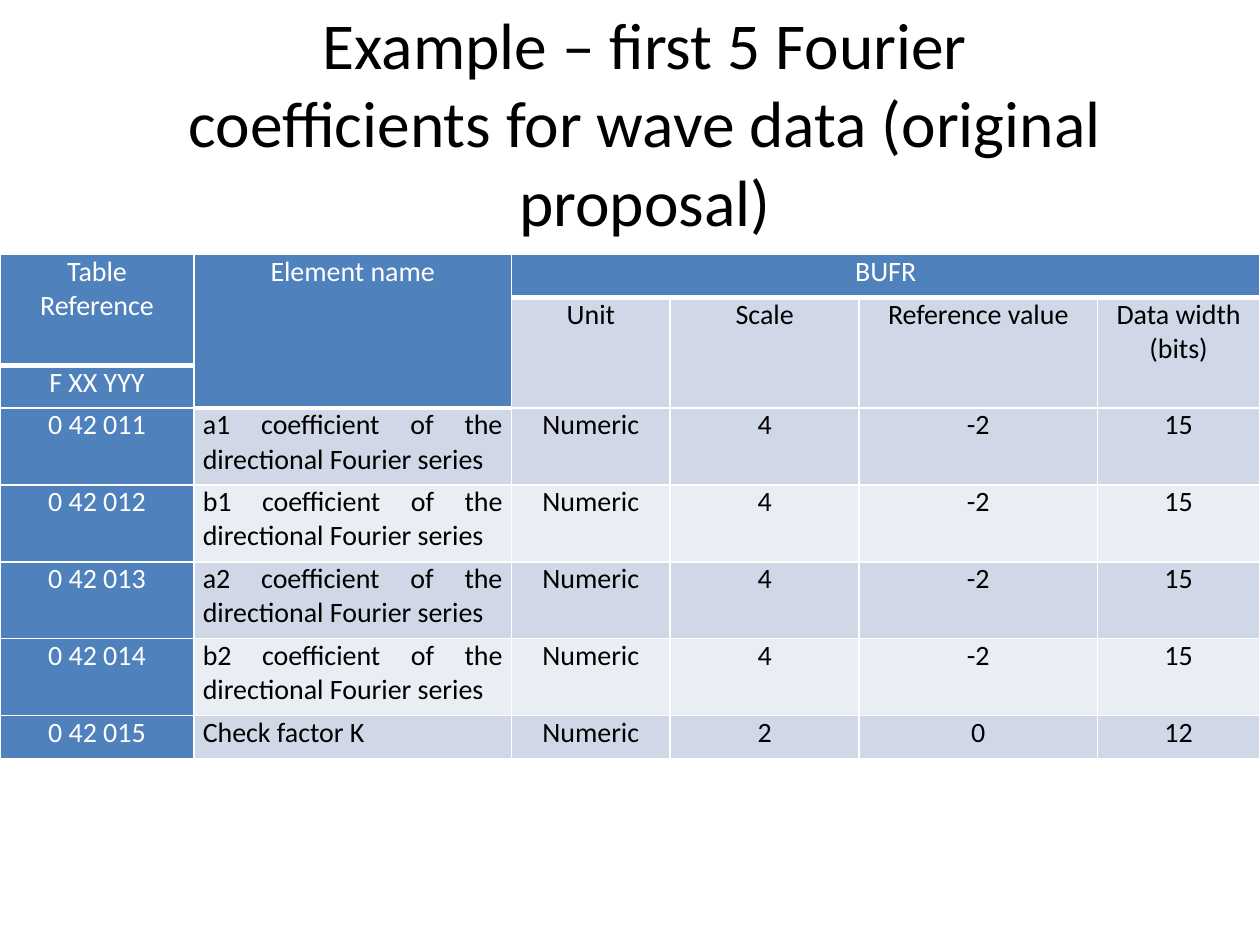
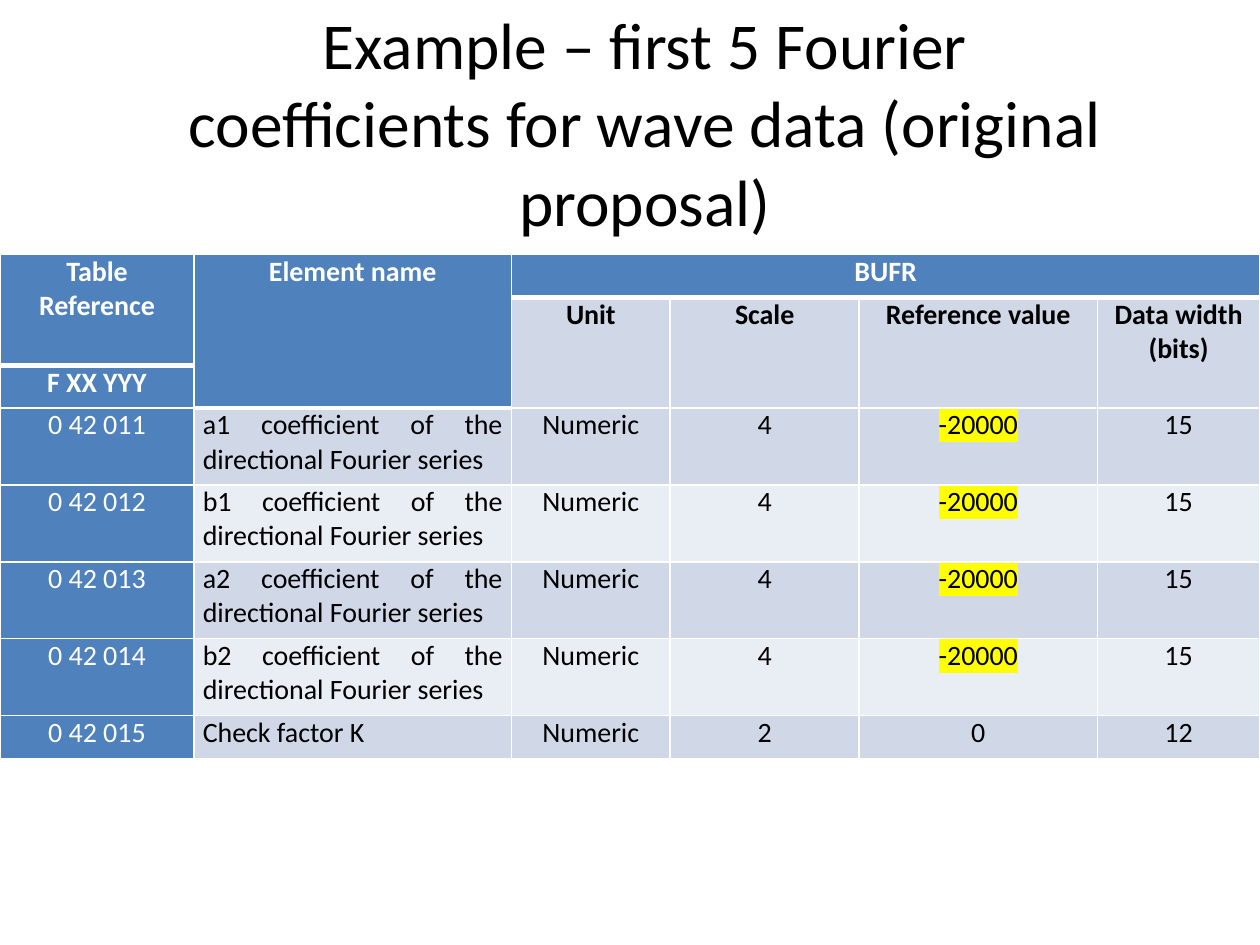
from lxml import etree
from pptx import Presentation
from pptx.dml.color import RGBColor
from pptx.enum.text import MSO_ANCHOR, PP_ALIGN
from pptx.oxml.ns import qn
from pptx.util import Inches, Pt

WHITE = RGBColor(0xFF, 0xFF, 0xFF)
BLACK = RGBColor(0, 0, 0)
BLUE = RGBColor(0x4F, 0x81, 0xBD)
BAND_DARK = RGBColor(0xD0, 0xD8, 0xE8)
BAND_LIGHT = RGBColor(0xE9, 0xED, 0xF4)
YELLOW = RGBColor(0xFF, 0xFF, 0x00)
FONT = "Calibri"

TITLE = "Example – first 5 Fourier coefficients for wave data (original proposal)"
TITLE_BOX = (1.22, 0.32, 7.8, 1.29)
TABLE_AT = (0, 2.02)
COL_WIDTHS = (1.54, 2.52, 1.26, 1.5, 1.89, 1.29)
ROW_HEIGHTS = (0.34, 0.54, 0.34, 0.61, 0.61, 0.61, 0.61, 0.34)
HEADER_ROWS = 3
REF_VALUE_COL = 4

# (first row, first column, last row, last column)
MERGES = ((0, 0, 1, 0), (0, 1, 2, 1), (0, 2, 0, 5),
          *((1, col, 2, col) for col in range(2, 6)))
HEADINGS = {(0, 0): "Table Reference", (0, 1): "Element name", (0, 2): "BUFR",
            (1, 2): "Unit", (1, 3): "Scale", (1, 4): "Reference value",
            (1, 5): "Data width (bits)", (2, 0): "F XX YYY"}


def element_rows(reference_value):
    rows = [(f"0 42 01{i}", f"{name} coefficient of the directional Fourier series",
             "Numeric", "4", reference_value, "15")
            for i, name in enumerate(("a1", "b1", "a2", "b2"), 1)]
    return rows + [("0 42 015", "Check factor K", "Numeric", "2", "0", "12")]


def write(p, text, align=PP_ALIGN.CENTER, color=BLACK, **font):
    p.alignment = align
    r = p.add_run()
    r.text = text
    r.font.color.rgb = color
    for name, value in {"name": FONT, **font}.items():
        setattr(r.font, name, value)
    return r


def highlight(r, color):
    mark = etree.Element(qn("a:highlight"))
    etree.SubElement(mark, qn("a:srgbClr")).set("val", str(color))
    r.font._element.find(qn("a:solidFill")).addnext(mark)


def set_borders(cell, bottom):
    """White lines on all sides; they must precede the cell fill."""
    tcPr = cell._tc.get_or_add_tcPr()
    for side, width in (("L", 1), ("R", 1), ("T", 1), ("B", bottom)):
        ln = etree.SubElement(tcPr, qn(f"a:ln{side}"), w=str(Pt(width)))
        fill = etree.SubElement(ln, qn("a:solidFill"))
        etree.SubElement(fill, qn("a:srgbClr")).set("val", str(WHITE))


def format_cell(cell, fill, bottom):
    set_borders(cell, bottom)
    cell.fill.solid()
    cell.fill.fore_color.rgb = fill
    for name, value in {"margin_left": Inches(0.07), "margin_right": Inches(0.07),
                        "margin_top": 0, "margin_bottom": 0,
                        "vertical_anchor": MSO_ANCHOR.TOP}.items():
        setattr(cell, name, value)


def add_title(s, box):
    tf = s.shapes.add_textbox(*map(Inches, box)).text_frame
    tf.word_wrap = True
    tf.vertical_anchor = MSO_ANCHOR.MIDDLE
    write(tf.paragraphs[0], TITLE, size=Pt(37.4))


def add_coefficient_table(s, at, reference_value, bold_headings, marked):
    size = sum(COL_WIDTHS), sum(ROW_HEIGHTS)
    table = s.shapes.add_table(len(ROW_HEIGHTS), len(COL_WIDTHS),
                               *map(Inches, at + size)).table
    for column, width in zip(table.columns, COL_WIDTHS):
        column.width = Inches(width)
    for row, height in zip(table.rows, ROW_HEIGHTS):
        row.height = Inches(height)
    for top, left, bottom, right in MERGES:
        table.cell(top, left).merge(table.cell(bottom, right))

    texts = dict(HEADINGS)
    for i, values in enumerate(element_rows(reference_value), HEADER_ROWS):
        texts.update({(i, j): value for j, value in enumerate(values)})

    for i in range(len(ROW_HEIGHTS)):
        for j in range(len(COL_WIDTHS)):
            cell = table.cell(i, j)
            heading = i < HEADER_ROWS
            blue = i == 0 or j == 0 or (heading and j == 1)
            band = BAND_DARK if heading or i % 2 else BAND_LIGHT
            format_cell(cell, BLUE if blue else band, bottom=1 if i else 3)
            p = cell.text_frame.paragraphs[0]
            p.font.size = Pt(16)
            if (i, j) not in texts:
                continue
            justify = j == 1 and not heading
            r = write(p, texts[i, j],
                      PP_ALIGN.JUSTIFY if justify else PP_ALIGN.CENTER,
                      WHITE if blue else BLACK,
                      size=Pt(16), bold=heading and bold_headings)
            if marked and j == REF_VALUE_COL and texts[i, j] == reference_value:
                highlight(r, YELLOW)


def main():
    prs = Presentation()
    prs.slide_width, prs.slide_height = Inches(10), Inches(7.5)
    for reference_value, revised in (("-2", False), ("-20000", True)):
        s = prs.slides.add_slide(prs.slide_layouts[6])
        add_title(s, TITLE_BOX)
        add_coefficient_table(s, TABLE_AT, reference_value,
                              bold_headings=revised, marked=revised)
    prs.save("out.pptx")


if __name__ == "__main__":
    main()
